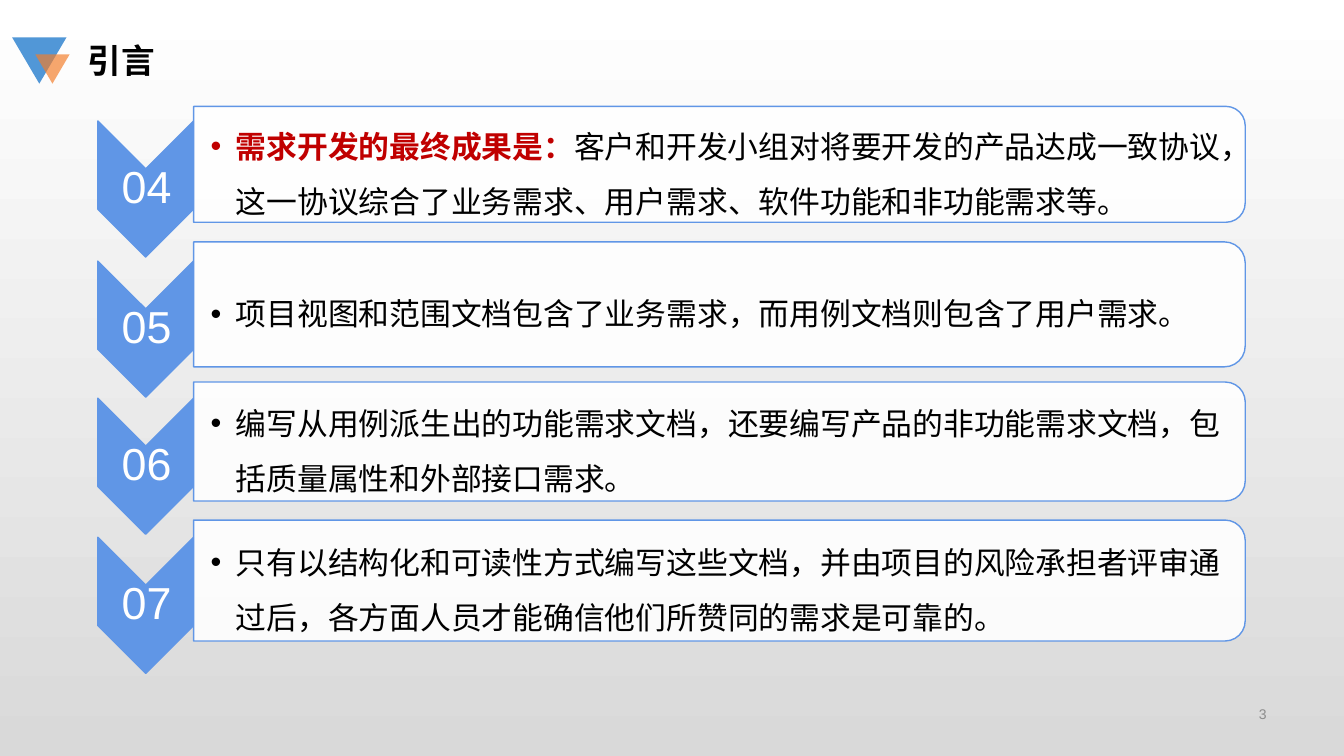
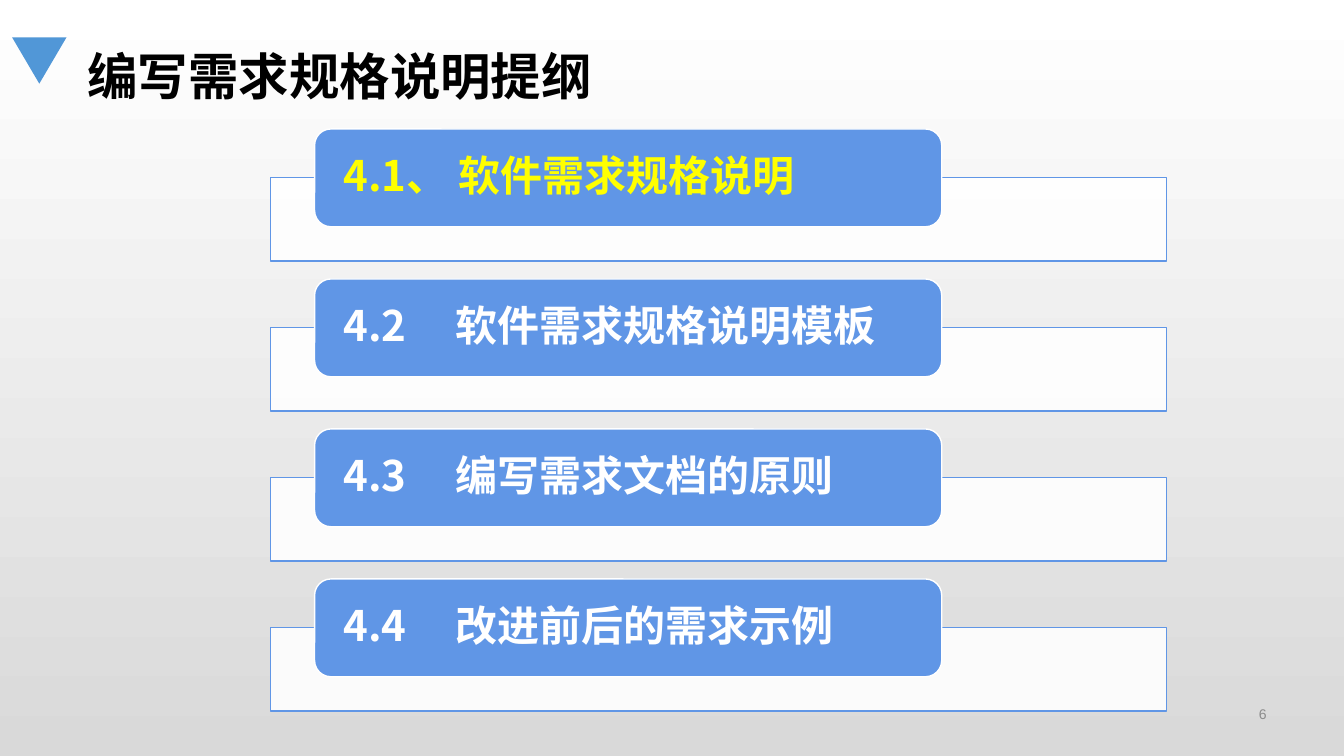
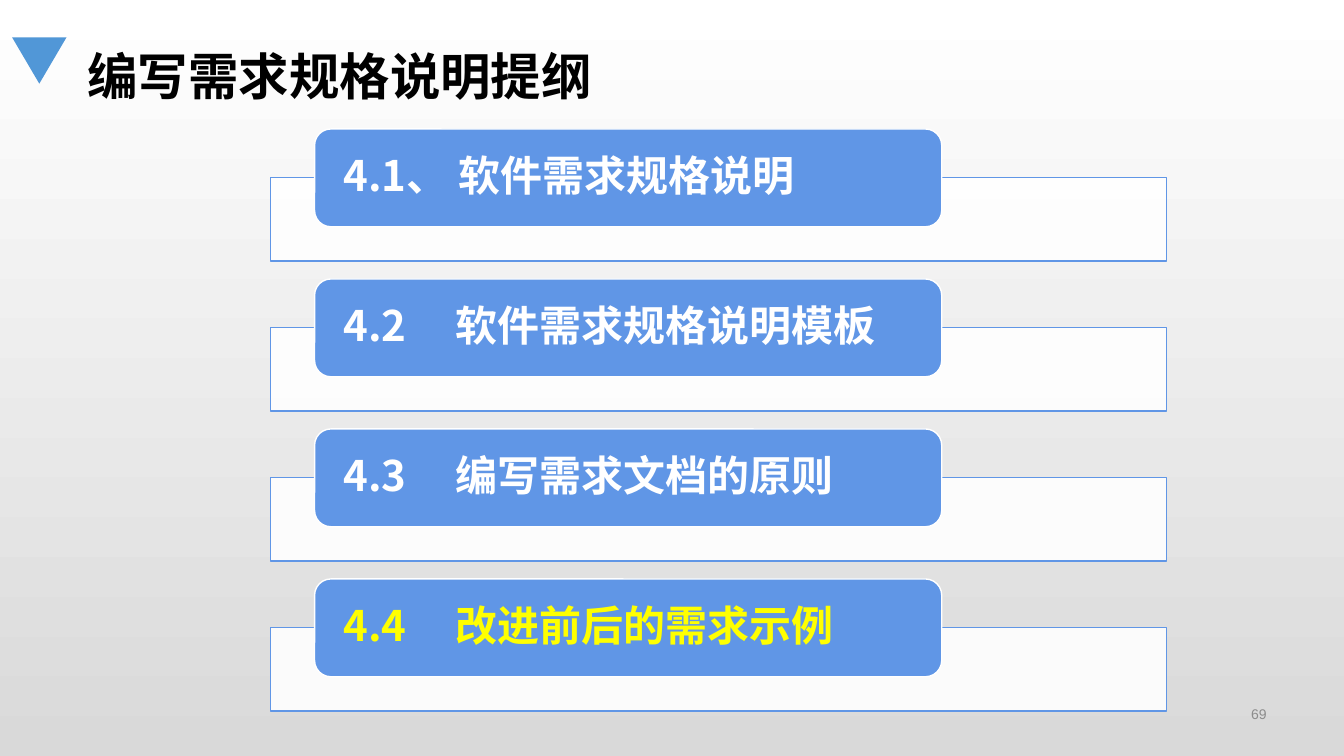
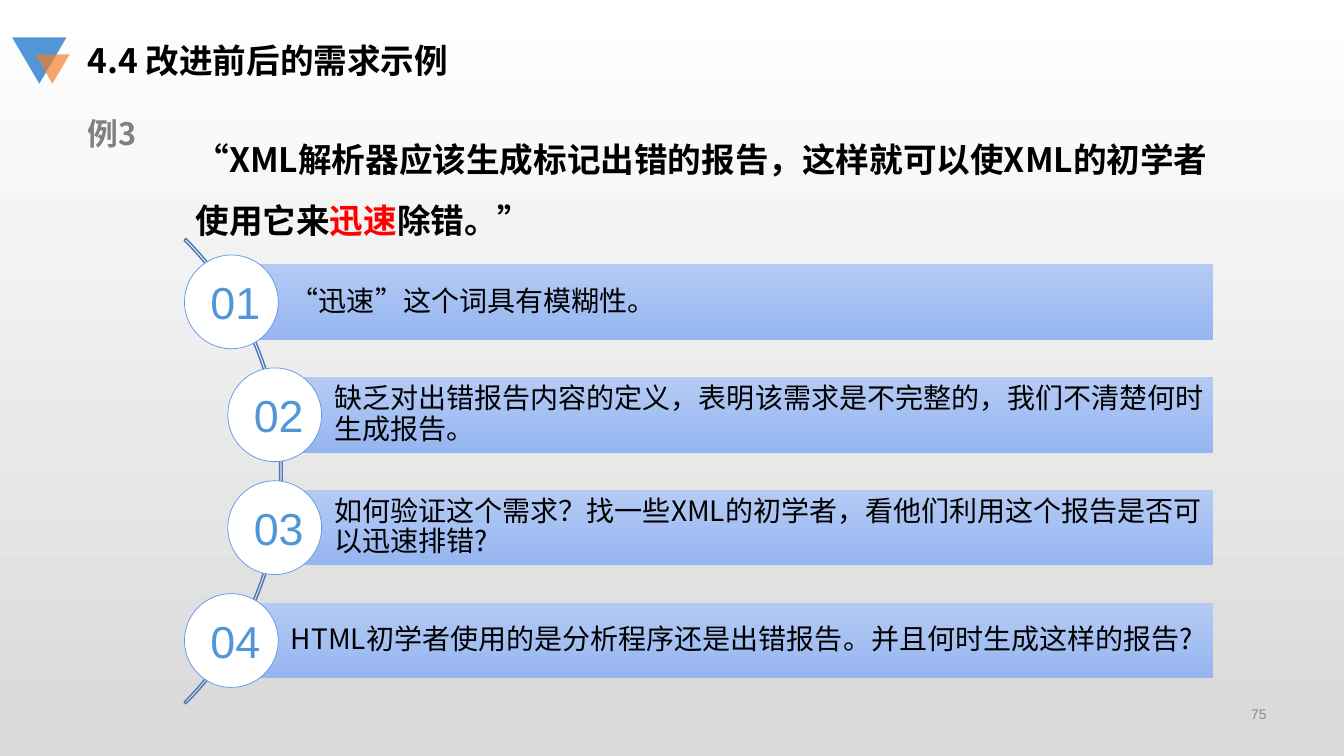
from dataclasses import dataclass

from lxml import etree
from pptx import Presentation
from pptx.dml.color import RGBColor
from pptx.enum import shapes, text
from pptx.oxml import ns
from pptx.util import Inches, Pt


@dataclass(frozen=True)
class Theme:
    cjk: str = "Noto Sans CJK SC"
    latin: str = "Arial"
    blue: str = "6096E6"
    logo_blue: str = "5197D7"
    orange: str = "F37D2A"
    arc: str = "4D78B8"
    bar_top: str = "B4CAF3"
    bar_bottom: str = "96B6F1"
    white: str = "FFFFFF"
    black: str = "000000"
    grey: str = "808080"
    page_grey: str = "8C8C8C"
    back_end: str = "D9D9D9"
    dark_red: str = "C00000"
    red: str = "FF0000"
    yellow: str = "FFFF00"
    outline_title: int = 36
    number: int = 32
    outline: int = 30
    title: int = 24
    body: int = 22
    note: int = 20
    page: int = 10


THEME = Theme()
SHAPE = shapes.MSO_SHAPE
ALIGN = text.PP_ALIGN
ANCHOR = text.MSO_ANCHOR

# Content
INTRO_TITLE = "引言"
# number, centre of the card, height of the card, lead, body
INTRO_CARDS = [
    ("04", 1.63, 1.15, "需求开发的最终成果是：",
     "客户和开发小组对将要开发的产品达成一致协议，这一协议综合了业务需求、用户需求、软件功能和非功能需求等。"),
    ("05", 3.02, 1.24, "",
     "项目视图和范围文档包含了业务需求，而用例文档则包含了用户需求。"),
    ("06", 4.38, 1.18, "",
     "编写从用例派生出的功能需求文档，还要编写产品的非功能需求文档，包括质量属性和外部接口需求。"),
    ("07", 5.76, 1.2, "",
     "只有以结构化和可读性方式编写这些文档，并由项目的风险承担者评审通过后，各方面人员才能确信他们所赞同的需求是可靠的。"),
]

OUTLINE_TITLE = "编写需求规格说明提纲"
OUTLINE_ITEMS = [
    "4.1、 软件需求规格说明",
    "4.2\t软件需求规格说明模板",
    "4.3\t编写需求文档的原则",
    "4.4\t改进前后的需求示例",
]

EXAMPLE_TITLE = "4.4 改进前后的需求示例"
EXAMPLE_LABEL = "例3"
EXAMPLE_QUOTE = [
    ("“XML解析器应该生成标记出错的报告，这样就可以使XML的初学者使用它来", THEME.black),
    ("迅速", THEME.red),
    ("除错。”", THEME.black),
]
EXAMPLE_NOTES = [
    "“迅速”这个词具有模糊性。",
    "缺乏对出错报告内容的定义，表明该需求是不完整的，我们不清楚何时生成报告。",
    "如何验证这个需求？找一些XML的初学者，看他们利用这个报告是否可以迅速排错?",
    "HTML初学者使用的是分析程序还是出错报告。并且何时生成这样的报告?",
]


# Drawing helpers
def rgb(value):
    return RGBColor.from_string(value)


def paint_gradient(fill, start, end):
    fill.gradient()
    fill.gradient_angle = 270
    for stop, color, position in zip(fill.gradient_stops, (start, end), (0, 1)):
        stop.color.rgb = rgb(color)
        stop.position = position


def add_shape(page, kind, left, top, width, height, fill=None, opacity=100,
              line=None, line_width=1, rotation=0):
    shape = page.shapes.add_shape(
        kind, Inches(left), Inches(top), Inches(width), Inches(height))
    shape.shadow.inherit = False
    shape.rotation = rotation
    if fill:
        shape.fill.solid()
        shape.fill.fore_color.rgb = rgb(fill)
    else:
        shape.fill.background()
    if opacity < 100:
        color = shape.fill._xPr.find(".//" + ns.qn("a:srgbClr"))
        etree.SubElement(color, ns.qn("a:alpha"), val=str(opacity * 1000))
    if line:
        shape.line.color.rgb = rgb(line)
        shape.line.width = Pt(line_width)
    else:
        shape.line.fill.background()
    return shape


def add_turned(page, kind, left, top, width, height, **style):
    """Place a shape turned by 90 degrees so that it covers the given area."""
    shift = (width - height) / 2
    return add_shape(page, kind, left + shift, top - shift, height, width,
                     rotation=90, **style)


def write(shape, spans, size, font=THEME.cjk, bold=False, align=ALIGN.LEFT,
          anchor=ANCHOR.MIDDLE, insets=(0.1, 0.05, 0.1, 0.05), spacing=None,
          wrap=True, bullet=False, tab=None):
    """Fill a shape with one paragraph; spans are (text, colour[, bold])."""
    frame = shape.text_frame
    frame.word_wrap = wrap
    frame.vertical_anchor = anchor
    (frame.margin_left, frame.margin_top,
     frame.margin_right, frame.margin_bottom) = map(Inches, insets)
    para = frame.paragraphs[0]
    para.alignment = align
    if spacing:
        para.line_spacing = spacing
    props = para._p.get_or_add_pPr()
    if bullet:
        props.set("marL", str(Inches(0.25)))
        props.set("indent", str(-Inches(0.25)))
        etree.SubElement(props, ns.qn("a:buFont"), typeface=THEME.latin)
        etree.SubElement(props, ns.qn("a:buChar"), char="•")
    if tab:
        tabs = etree.SubElement(props, ns.qn("a:tabLst"))
        etree.SubElement(tabs, ns.qn("a:tab"), pos=str(Inches(tab)), algn="l")
    for words, color, *weight in spans:
        span = para.add_run()
        span.text = words
        span.font.name = font
        span.font.size = Pt(size)
        span.font.bold = weight[0] if weight else bold
        span.font.color.rgb = rgb(color)
        run_props = span.font._rPr
        run_props.set("lang", "zh-CN")
        east = etree.Element(ns.qn("a:ea"), typeface=font)
        run_props.find(ns.qn("a:latin")).addnext(east)


def add_text(page, left, top, width, height, spans, size, **style):
    box = page.shapes.add_textbox(
        Inches(left), Inches(top), Inches(width), Inches(height))
    write(box, spans, size, **style)


# Shared parts
def add_page(deck, number):
    page = deck.slides.add_slide(deck.slide_layouts[6])
    add_shape(page, SHAPE.ISOSCELES_TRIANGLE, 0.12, 0.37, 0.54, 0.46,
              THEME.logo_blue, rotation=180)
    add_text(page, 9.71, 6.91, 2.95, 0.35, [(number, THEME.page_grey)],
             THEME.page, font=THEME.latin, align=ALIGN.RIGHT)
    return page


def add_title(page, title):
    add_shape(page, SHAPE.ISOSCELES_TRIANGLE, 0.35, 0.54, 0.34, 0.29,
              THEME.orange, opacity=68, rotation=180)
    add_text(page, 0.77, 0.35, 9.66, 0.5, [(title, THEME.black)],
             THEME.title, bold=True, anchor=ANCHOR.TOP)


# Slides
def build_intro(deck, number):
    page = add_page(deck, number)
    add_title(page, INTRO_TITLE)
    for label, middle, height, lead, body in INTRO_CARDS:
        arrow_middle = middle + 0.24
        add_turned(page, SHAPE.CHEVRON, 0.97, arrow_middle - 0.67, 0.95, 1.35,
                   fill=THEME.blue, line=THEME.blue)
        add_text(page, 0.98, arrow_middle - 0.2, 0.95, 0.41,
                 [(label, THEME.white)], THEME.number, font=THEME.latin,
                 align=ALIGN.CENTER, insets=(0.02,) * 4, spacing=0.9)
        add_turned(page, SHAPE.ROUND_2_SAME_RECTANGLE, 1.92,
                   middle - height / 2, 10.43, height,
                   fill=THEME.white, opacity=90, line=THEME.blue)
        spans = [(lead, THEME.dark_red, True)] if lead else []
        text_height = height - 0.11
        add_text(page, 1.92, middle - text_height / 2, 10.38, text_height,
                 spans + [(body, THEME.black)], THEME.body,
                 insets=(0.17, 0.02, 0.02, 0.02), spacing=1.5, bullet=True)


def build_outline(deck, number, current):
    page = add_page(deck, number)
    add_text(page, 0.77, 0.4, 5.9, 0.71, [(OUTLINE_TITLE, THEME.black)],
             THEME.outline_title, bold=True, anchor=ANCHOR.TOP)
    for index, item in enumerate(OUTLINE_ITEMS):
        top = 1.28 + 1.488 * index
        add_shape(page, SHAPE.RECTANGLE, 2.68, top + 0.48, 8.89, 0.83,
                  THEME.white, opacity=90, line=THEME.blue)
        tag = add_shape(page, SHAPE.ROUNDED_RECTANGLE, 3.12, top, 6.22, 0.97,
                        THEME.blue, line=THEME.white)
        color = THEME.yellow if index == current else THEME.white
        write(tag, [(item, color)], THEME.outline, bold=True,
              insets=(0.24, 0, 0.24, 0), spacing=0.9, tab=1.11)


def build_example(deck, number):
    page = add_page(deck, number)
    add_title(page, EXAMPLE_TITLE)
    arc = add_shape(page, SHAPE.BLOCK_ARC, -3.73, 1.41, 6.53, 6.53,
                    line=THEME.arc)
    for index, value in enumerate((189, 27, 0.004)):
        arc.adjustments[index] = value

    circle, bar_height, bar_right = 0.93, 0.75, 12.03
    last = len(EXAMPLE_NOTES) - 1
    for index, note in enumerate(EXAMPLE_NOTES):
        left = 1.83 if index in (0, last) else 2.26
        top = 2.62 + 1.12 * index
        bar_left = left + circle / 2
        bar = add_shape(page, SHAPE.RECTANGLE, bar_left, top,
                        bar_right - bar_left, bar_height)
        paint_gradient(bar.fill, THEME.bar_top, THEME.bar_bottom)
        write(bar, [(note, THEME.black)], THEME.note,
              insets=(0.59, 0.06, 0.06, 0.06), spacing=0.9)
        disc = add_shape(page, SHAPE.OVAL, left, top - (circle - bar_height) / 2,
                         circle, circle, THEME.white, line=THEME.blue,
                         line_width=0.5)
        write(disc, [(f"{index + 1:02}", THEME.logo_blue)], THEME.number,
              font=THEME.latin, align=ALIGN.CENTER, insets=(0.08, 0, 0, 0),
              wrap=False)

    add_text(page, 0.77, 1.09, 1, 0.47, [(EXAMPLE_LABEL, THEME.grey)],
             THEME.body, bold=True, anchor=ANCHOR.TOP)
    add_text(page, 1.84, 1.13, 10.44, 1.22, EXAMPLE_QUOTE, THEME.title,
             bold=True, anchor=ANCHOR.TOP, spacing=1.5)


def main():
    deck = Presentation()
    deck.slide_width, deck.slide_height = Inches(13.33), Inches(7.5)
    paint_gradient(deck.slide_master.background.fill,
                   THEME.white, THEME.back_end)
    build_intro(deck, "3")
    build_outline(deck, "6", current=0)
    build_outline(deck, "69", current=3)
    build_example(deck, "75")
    deck.save("out.pptx")


if __name__ == "__main__":
    main()
